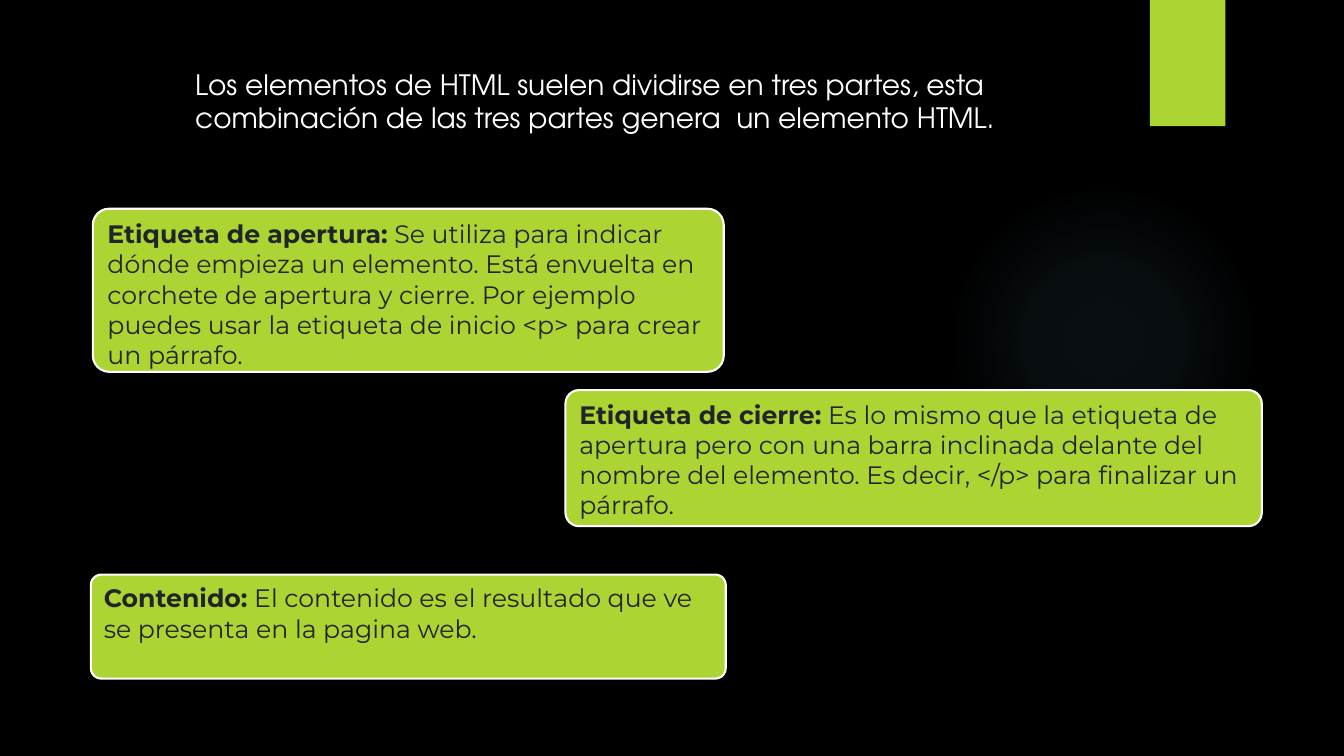
from lxml import etree
from pptx import Presentation
from pptx.dml.color import RGBColor
from pptx.enum.shapes import MSO_SHAPE
from pptx.enum.text import MSO_ANCHOR, PP_ALIGN
from pptx.oxml.ns import qn
from pptx.util import Cm, Pt

OVAL = MSO_SHAPE.OVAL
RECTANGLE = MSO_SHAPE.RECTANGLE
ROUNDED = MSO_SHAPE.ROUNDED_RECTANGLE
TOP = MSO_ANCHOR.TOP
LEFT = PP_ALIGN.LEFT

COLORS = {
    "background": "000000",
    "accent": "ACD433",
    "glow": "7AC4F0",
    "light": "FFFFFF",
    "dark": "212529",
}
TITLE_FONT = "TeX Gyre Adventor"
BODY_FONT = "Montserrat"

HEADING = (
    "Los elementos de HTML suelen dividirse en tres partes, esta "
    "combinación de las tres partes genera  un elemento HTML."
)
PARTS = [
    ((2.34, 5.26, 15.9, 4.11), "Etiqueta de apertura:",
     " Se utiliza para indicar dónde empieza un elemento. Está envuelta en "
     "corchete de apertura y cierre. Por ejemplo puedes usar la etiqueta de "
     "inicio <p> para crear un párrafo."),
    ((14.25, 9.83, 17.55, 3.43), "Etiqueta de cierre:",
     " Es lo mismo que la etiqueta de apertura pero con una barra inclinada "
     "delante del nombre del elemento. Es decir, </p> para finalizar un párrafo."),
    ((2.29, 14.48, 16, 2.62), "Contenido:",
     " El contenido es el resultado que ve se presenta en la pagina web."),
]


def rgb(name):
    return RGBColor.from_string(COLORS[name])


class SlideBuilder:
    def __init__(self, slide):
        self.slide = slide
        slide.background.fill.solid()
        slide.background.fill.fore_color.rgb = rgb("background")

    def shape(self, kind, box, outline=None):
        shape = self.slide.shapes.add_shape(kind, *map(Cm, box))
        shape.shadow.inherit = False
        shape.fill.solid()
        shape.fill.fore_color.rgb = rgb("accent")
        if outline:
            shape.line.color.rgb = rgb(outline)
            shape.line.width = Pt(1.5)
        else:
            shape.line.fill.background()
        return shape

    def glow(self, box, stops):
        """Add a circle that fades outwards; stops are (position, opacity) in percent."""
        halo = self.shape(OVAL, box)
        properties = halo._element.spPr
        gradient = etree.Element(qn("a:gradFill"), rotWithShape="1")
        stop_list = etree.SubElement(gradient, qn("a:gsLst"))
        for position, opacity in stops:
            stop = etree.SubElement(stop_list, qn("a:gs"), pos=str(position * 1000))
            color = etree.SubElement(stop, qn("a:srgbClr"), val=COLORS["glow"])
            etree.SubElement(color, qn("a:alpha"), val=str(opacity * 1000))
        circle = etree.SubElement(gradient, qn("a:path"))
        circle.set("path", "circle")
        center = dict.fromkeys("ltrb", "50000")
        etree.SubElement(circle, qn("a:fillToRect"), **center)
        properties.replace(properties.find(qn("a:solidFill")), gradient)

    def style_run(self, run, font, size, color, bold=False):
        run.font.name = font
        run.font.size = Pt(size)
        run.font.bold = bold
        run.font.color.rgb = rgb(color)

    def heading(self, box, text):
        frame = self.slide.shapes.add_textbox(*map(Cm, box)).text_frame
        frame.word_wrap = True
        frame.text = text
        self.style_run(frame.paragraphs[0].runs[0], TITLE_FONT, 20, "light")

    def card(self, box, term, description):
        card = self.shape(ROUNDED, box, outline="light")
        card.adjustments[0] = 0.1
        frame = card.text_frame
        frame.word_wrap = True
        frame.vertical_anchor = TOP
        paragraph = frame.paragraphs[0]
        paragraph.alignment = LEFT
        for text, bold in ((term, True), (description, False)):
            run = paragraph.add_run()
            run.text = text
            self.style_run(run, BODY_FONT, 18, "dark", bold)


def main():
    presentation = Presentation()
    presentation.slide_width = Cm(33.87)
    presentation.slide_height = Cm(19.05)
    blank = presentation.slide_layouts[6]
    builder = SlideBuilder(presentation.slides.add_slide(blank))

    builder.glow((23.9, 4.65, 7.82, 7.82), [(0, 7), (36, 6), (69, 0)])
    builder.shape(RECTANGLE, (28.98, 0, 1.9, 3.18))
    builder.heading((4.67, 1.57, 21.36, 1.96), HEADING)
    for box, term, description in PARTS:
        builder.card(box, term, description)

    presentation.save("out.pptx")


if __name__ == "__main__":
    main()
